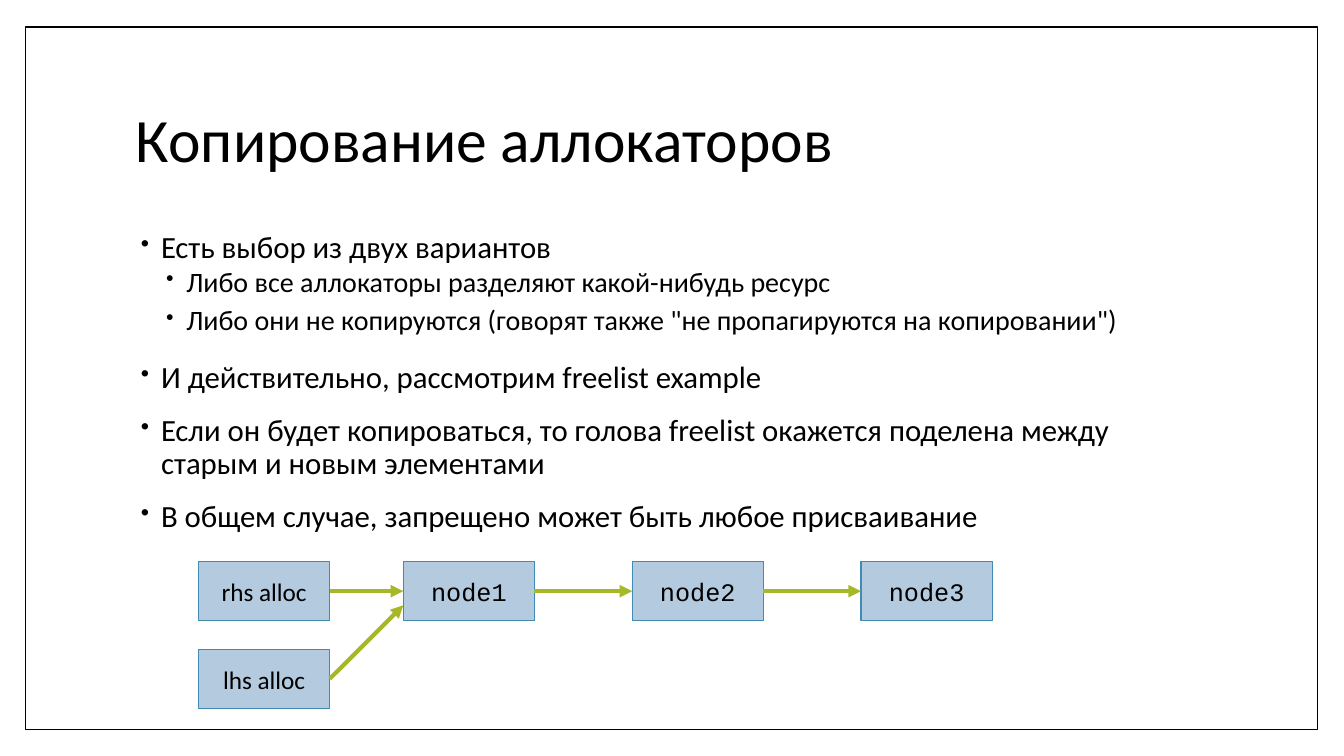
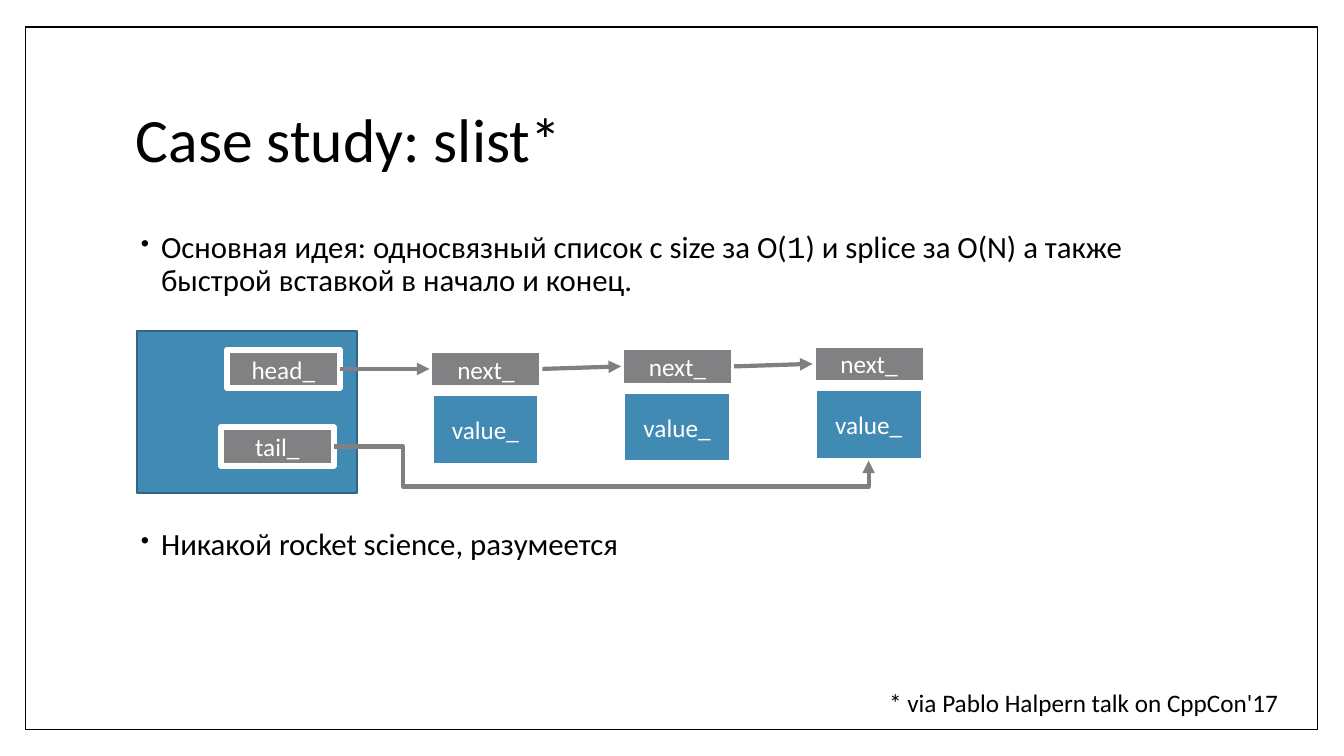
import pptx
import pptx.util
import pptx.dml.color
import pptx.enum.shapes
import pptx.enum.text
import pptx.oxml
import pptx.oxml.ns

Inches = pptx.util.Inches
Pt = pptx.util.Pt
RGBColor = pptx.dml.color.RGBColor
MSO_SHAPE = pptx.enum.shapes.MSO_SHAPE
MSO_CONNECTOR = pptx.enum.shapes.MSO_CONNECTOR
PP_ALIGN = pptx.enum.text.PP_ALIGN
MSO_ANCHOR = pptx.enum.text.MSO_ANCHOR
qn = pptx.oxml.ns.qn

BLACK = RGBColor(0x00, 0x00, 0x00)
WHITE = RGBColor(0xFF, 0xFF, 0xFF)
BLUE = RGBColor(0x41, 0x8A, 0xB3)
DARK_BLUE = RGBColor(0x30, 0x66, 0x84)
PALE_BLUE = RGBColor(0xB3, 0xCA, 0xDF)
GREEN = RGBColor(0xA6, 0xB7, 0x27)
GRAY = RGBColor(0x81, 0x81, 0x83)
ARROW_GRAY = RGBColor(0x80, 0x80, 0x80)
SANS, MONO = "Calibri", "Courier New"
RIGHT, LEFT, BOTTOM = 3, 1, 2  # connection sites of a rectangle

FRAME = (0.25, 0.27, 12.82, 6.97)
TITLE = (1.25, 0.67, 10.8, 1.48)
BODY = (1.25, 2.25, 10.8, 4.42)


def sub(parent, tag, **attrs):
    element = pptx.oxml.parse_xml(f"<{tag} {pptx.oxml.ns.nsdecls('a')}/>")
    for name, value in attrs.items():
        element.set(name, value)
    parent.append(element)
    return element


def add_run(p, text, size=18, font=SANS, color=BLACK):
    r = p.add_run()
    r.text = text
    r.font.size, r.font.name = Pt(size), font
    r.font.color.rgb = color


def text_box(s, box, anchor=MSO_ANCHOR.TOP):
    tf = s.shapes.add_textbox(*map(Inches, box)).text_frame
    tf.word_wrap = True
    tf.vertical_anchor = anchor
    return tf


def rect(s, box, fill, line, width, text="", **fmt):
    sp = s.shapes.add_shape(MSO_SHAPE.RECTANGLE, *map(Inches, box))
    sp.shadow.inherit = False
    sp.fill.solid()
    sp.fill.fore_color.rgb = fill
    sp.line.color.rgb, sp.line.width = line, Pt(width)
    if text:
        tf = sp.text_frame
        tf.vertical_anchor = MSO_ANCHOR.MIDDLE
        p = tf.paragraphs[0]
        p.alignment = PP_ALIGN.CENTER
        add_run(p, text, **fmt)
    return sp


def arrow(s, start, end, color, sites=(RIGHT, LEFT), drop=0, adjust=None):
    """Arrow between two shapes; drop lowers its end, adjust bends it."""
    kind = MSO_CONNECTOR.ELBOW if adjust else MSO_CONNECTOR.STRAIGHT
    cn = s.shapes.add_connector(kind, 0, 0, 0, 0)
    cn.begin_connect(start, sites[0])
    if drop:
        cn.end_x = end.left
        cn.end_y = end.top + end.height // 2 + Inches(drop)
    else:
        cn.end_connect(end, sites[1])
    cn.line.color.rgb, cn.line.width = color, Pt(3)
    sp_pr = cn._element.spPr
    sub(sp_pr.find(qn("a:ln")), "a:tailEnd", type="triangle")
    sub(sp_pr, "a:effectLst")
    if adjust:
        geom = sp_pr.find(qn("a:prstGeom"))
        geom.set("prst", "bentConnector4")
        for old in list(geom):
            geom.remove(old)
        guides = sub(geom, "a:avLst")
        for i, share in enumerate(adjust, 1):
            sub(guides, "a:gd", name=f"adj{i}", fmla=f"val {round(share * 100000)}")
    return cn


def add_bullets(s, box, items):
    """Each item is (runs, level, space before); a run is (text, font)."""
    tf = text_box(s, box)
    for i, (runs, level, before) in enumerate(items):
        p = tf.paragraphs[0] if i == 0 else tf.add_paragraph()
        p.level = level
        p_pr = p._p.get_or_add_pPr()
        p_pr.set("marL", str(Inches(0.25 * (level + 1))))
        p_pr.set("indent", str(Inches(-0.2)))
        sub(sub(p_pr, "a:buClr"), "a:srgbClr", val=str(BLACK))
        sub(p_pr, "a:buSzPct", val="80000")
        sub(p_pr, "a:buChar", char="•")
        p.line_spacing = 0.9
        p.space_before = Pt(before)
        p.space_after = Pt(4 if level else 0)
        for text, font in runs:
            add_run(p, text, 20 if level else 22, font)


def new_slide(prs, title):
    s = prs.slides.add_slide(prs.slide_layouts[6])
    rect(s, FRAME, WHITE, BLACK, 1)
    p = text_box(s, TITLE, MSO_ANCHOR.MIDDLE).paragraphs[0]
    p.line_spacing = 0.9
    add_run(p, title, 44)
    return s


def freelist_diagram(s, x, y):
    """Two allocators that point at one chain of nodes."""
    def cell(dx, dy, text, font=SANS):
        return rect(s, (x + dx, y + dy, 1.3, 0.59), PALE_BLUE, BLUE, 0.79, text, font=font)

    rhs, lhs = cell(0, 0, "rhs alloc"), cell(0, 0.87, "lhs alloc")
    nodes = [cell(2.03 + 2.27 * i, 0, f"node{i + 1}", MONO) for i in range(3)]
    chain = [rhs] + nodes
    for start, end in zip(chain, chain[1:]):
        arrow(s, start, end, GREEN)
    arrow(s, lhs, nodes[0], GREEN, drop=0.14)


def slist_diagram(s, x, y):
    """List header with head and tail, and three linked elements."""
    def field(dx, dy, text, w=1.12, h=0.38, fill=GRAY):
        return rect(s, (x + dx, y + dy, w, h), fill, WHITE, 4.25, text, color=WHITE)

    rect(s, (x, y, 2.18, 1.61), BLUE, DARK_BLUE, 1.5)
    chain = [field(0.89, 0.19, "head_")]
    tail = field(0.83, 0.96, "tail_")
    for i in range(3):
        dx, dy = 2.9 + 1.9 * i, 0.19 - 0.025 * i
        chain.append(field(dx, dy, "next_"))
        value = field(dx + 0.01, dy + 0.43, "value_", 1.09, 0.72, BLUE)
    for start, end in zip(chain, chain[1:]):
        arrow(s, start, end, ARROW_GRAY)
    arrow(s, tail, value, ARROW_GRAY, sites=(RIGHT, BOTTOM), adjust=(0.13, 2.83))


def copying_slide(prs):
    s = new_slide(prs, "Копирование аллокаторов")
    lines = [
        ("Есть выбор из двух вариантов", 0, 0),
        ("Либо все аллокаторы разделяют какой-нибудь ресурс", 1, 2),
        ("Либо они не копируются (говорят также \"не пропагируются на копировании\")", 1, 2),
        ("И действительно, рассмотрим freelist example", 0, 14),
        ("Если он будет копироваться, то голова freelist окажется поделена между "
         "старым и новым элементами", 0, 14),
        ("В общем случае, запрещено может быть любое присваивание", 0, 14),
    ]
    add_bullets(s, BODY, [([(text, SANS)], level, before) for text, level, before in lines])
    freelist_diagram(s, 1.97, 5.57)


def slist_slide(prs):
    s = new_slide(prs, "Case study: slist*")
    idea = [
        ("Основная идея: односвязный список с size за O(", SANS),
        ("1", MONO),
        (") и splice за O(N) а также быстрой вставкой в начало и конец.", SANS),
    ]
    # The second bullet leaves room for the diagram
    add_bullets(s, BODY, [
        (idea, 0, 0),
        ([("Никакой rocket science, разумеется", SANS)], 0, 165),
    ])
    slist_diagram(s, 1.36, 3.28)
    # Footnote
    tf = text_box(s, (8.72, 6.77, 4.29, 0.4))
    add_run(tf.paragraphs[0], "* via Pablo Halpern talk on CppCon'17")


def main():
    prs = pptx.Presentation()
    prs.slide_width, prs.slide_height = Inches(13.33), Inches(7.5)
    copying_slide(prs)
    slist_slide(prs)
    prs.save("out.pptx")


if __name__ == "__main__":
    main()
